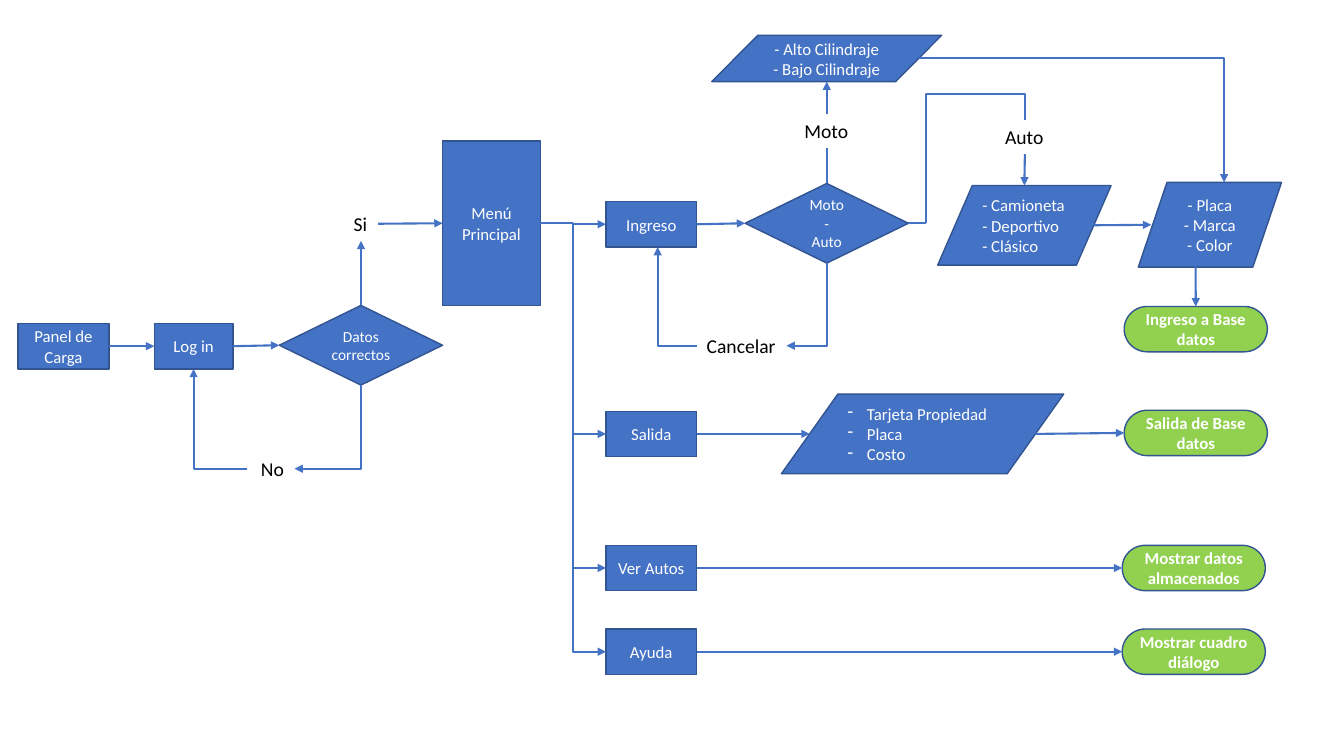
from dataclasses import dataclass

from lxml.etree import SubElement
from pptx import Presentation
from pptx.dml.color import RGBColor
from pptx.enum.shapes import MSO_CONNECTOR as LINK, MSO_SHAPE as SHAPE
from pptx.enum.text import MSO_ANCHOR as ANCHOR, MSO_AUTO_SIZE as AUTO_SIZE, PP_ALIGN as ALIGN
from pptx.oxml.ns import qn
from pptx.util import Inches, Pt

COLORS = {"node": "4472C4", "outline": "325491", "link": "4472C4",
          "end": "92D050", "light": "FFFFFF", "dark": "000000"}
FONT = "Calibri"


@dataclass
class Box:
    """A rectangle in inches."""
    left: float
    top: float
    width: float
    height: float

    def inner(self, left, top, width, height):
        """Return a box placed relative to this one."""
        return Box(self.left + left, self.top + top, width, height)

    def at(self, across, down):
        """Return the point at the given fractions of the box."""
        return self.left + across * self.width, self.top + down * self.height

    def lengths(self):
        """Return left, top, width and height as slide lengths."""
        return [Inches(value) for value in (self.left, self.top, self.width, self.height)]


def color(name):
    """Look up a named colour."""
    return RGBColor.from_string(COLORS[name])


def write(frame, lines, size, tint, align, bold=False):
    """Write one paragraph per line and return the paragraphs."""
    frame.text = "\n".join(lines)
    for para in frame.paragraphs:
        para.alignment = align
        para.font.name = FONT
        para.font.size = Pt(size)
        para.font.bold = bold
        para.font.color.rgb = color(tint)
    return frame.paragraphs


def add_node(page, box, kind, *lines, size=12, align=ALIGN.CENTER, fill="node"):
    """Draw a flowchart symbol with text and return its paragraphs."""
    shape = page.shapes.add_shape(kind, *box.lengths())
    shape.shadow.inherit = False
    shape.fill.solid()
    shape.fill.fore_color.rgb = color(fill)
    shape.line.color.rgb = color("outline")
    shape.line.width = Pt(1)
    shape.text_frame.word_wrap = True
    shape.text_frame.vertical_anchor = ANCHOR.MIDDLE
    return write(shape.text_frame, lines, size, "light", align, fill == "end")


def add_label(page, box, text):
    """Write a branch label."""
    frame = page.shapes.add_textbox(*box.lengths()).text_frame
    frame.word_wrap = False
    frame.auto_size = AUTO_SIZE.SHAPE_TO_FIT_TEXT
    write(frame, [text], 14, "dark", ALIGN.LEFT)


def add_dashes(paragraphs):
    """Give paragraphs hanging dash bullets."""
    for para in paragraphs:
        props = para._p.get_or_add_pPr()
        props.set("marL", str(Inches(0.19)))
        props.set("indent", str(-Inches(0.19)))
        bullet = SubElement(props, qn("a:buChar"))
        bullet.set("char", "-")
        props.find(qn("a:defRPr")).addprevious(bullet)


def add_link(page, start, end, arrow=True, kind=LINK.STRAIGHT):
    """Draw a connector between two points."""
    link = page.shapes.add_connector(kind, *[Inches(value) for value in (*start, *end)])
    link.line.color.rgb = color("link")
    link.line.width = Pt(1.5)
    outline = link.element.spPr.find(qn("a:ln"))
    if arrow:
        SubElement(outline, qn("a:tailEnd")).set("type", "triangle")
    SubElement(link.element.spPr, qn("a:effectLst"))
    return link


def add_elbow(page, start, end, upright=False, bend=None, arrow=True):
    """Draw a bent connector; bend is where it turns along its first direction."""
    link = add_link(page, start, end, arrow, LINK.ELBOW)
    across, down = end[0] - start[0], end[1] - start[1]
    if upright:
        turn, flip = (90, across > 0) if down > 0 else (270, across < 0)
        width, height = abs(down), abs(across)
    else:
        turn, flip = (0, down < 0) if across > 0 else (180, down > 0)
        width, height = abs(across), abs(down)
    left = (start[0] + end[0] - width) / 2
    top = (start[1] + end[1] - height) / 2
    link.left, link.top, link.width, link.height = Box(left, top, width, height).lengths()
    frame = link.element.spPr.find(qn("a:xfrm"))
    frame.set("rot", str(turn * 60000))
    frame.set("flipH", "0")
    frame.set("flipV", str(int(flip)))
    geometry = link.element.spPr.find(qn("a:prstGeom"))
    geometry.set("prst", "bentConnector2" if bend is None else "bentConnector3")
    if bend is not None:
        guide = SubElement(geometry.find(qn("a:avLst")), qn("a:gd"))
        guide.set("name", "adj1")
        guide.set("fmla", f"val {round(bend * 100000)}")


def draw_login(page, region):
    """Draw the login loop and return the main menu box."""
    panel = region.inner(0, 1.81, 0.9, 0.45)
    login = region.inner(1.35, 1.81, 0.78, 0.45)
    check = region.inner(2.59, 1.63, 1.62, 0.79)
    no = region.inner(2.31, 3.08, 0.43, 0.34)
    yes = region.inner(3.23, 0.65, 0.34, 0.34)
    menu = region.inner(4.21, 0, 0.97, 1.63)
    add_node(page, panel, SHAPE.FLOWCHART_PROCESS, "Panel de Carga")
    add_node(page, login, SHAPE.FLOWCHART_PROCESS, "Log in")
    add_node(page, check, SHAPE.FLOWCHART_DECISION, "Datos correctos", size=11)
    add_node(page, menu, SHAPE.FLOWCHART_PROCESS, "Menú Principal")
    add_label(page, no, "No")
    add_label(page, yes, "Si")
    add_link(page, panel.at(1, 0.5), login.at(0, 0.5))
    add_link(page, login.at(1, 0.5), check.at(0, 0.5))
    add_link(page, check.at(0.5, 0), yes.at(0.5, 1))
    add_link(page, yes.at(1, 0.5), menu.at(0, 0.5))
    add_elbow(page, check.at(0.5, 1), no.at(1, 0.5), upright=True)
    add_elbow(page, no.at(-0.1, 0.5), login.at(0.5, 1))
    return menu


def draw_entry(page, region):
    """Draw the vehicle entry branch and return its option box."""
    option = region.inner(0, 1.65, 0.9, 0.45)
    choice = region.inner(1.38, 1.47, 1.62, 0.79)
    cancel = region.inner(0.9, 2.91, 0.89, 0.34)
    moto = region.inner(1.87, 0.78, 0.64, 0.34)
    engines = region.inner(1.05, 0, 2.28, 0.46)
    auto = region.inner(3.86, 0.84, 0.59, 0.34)
    models = region.inner(3.29, 1.49, 1.72, 0.79)
    details = region.inner(5.28, 1.46, 1.42, 0.84)
    saved = region.inner(5.14, 2.69, 1.42, 0.45)
    data = SHAPE.FLOWCHART_DATA
    add_node(page, option, SHAPE.FLOWCHART_PROCESS, "Ingreso")
    add_node(page, choice, SHAPE.FLOWCHART_DECISION, "Moto", "-", "Auto", size=11)
    add_node(page, engines, data, "- Alto Cilindraje", "- Bajo Cilindraje")
    add_node(page, models, data, "- Camioneta", "- Deportivo", "- Clásico", align=ALIGN.LEFT)
    add_node(page, details, data, "- Placa", "- Marca", "- Color")
    add_node(page, saved, SHAPE.FLOWCHART_TERMINATOR, "Ingreso a Base datos", fill="end")
    for box, text in ((cancel, "Cancelar"), (moto, "Moto"), (auto, "Auto")):
        add_label(page, box, text)
    add_link(page, option.at(1, 0.5), choice.at(0, 0.5))
    add_elbow(page, choice.at(0.5, 1), cancel.at(1, 0.5), upright=True)
    add_elbow(page, cancel.at(0, 0.5), option.at(0.57, 1))
    add_link(page, choice.at(0.5, 0), moto.at(0.5, 1), arrow=False)
    add_link(page, moto.at(0.5, 0), engines.at(0.5, 1))
    add_elbow(page, engines.at(0.9, 0.5), details.at(0.6, 0))
    corner = choice.at(1.11, 0.5)
    add_link(page, choice.at(1, 0.5), corner, arrow=False)
    add_elbow(page, corner, auto.at(0.5, 0), upright=True, bend=1.25, arrow=False)
    add_link(page, auto.at(0.5, 1), models.at(0.5, 0))
    add_link(page, models.at(0.9, 0.5), details.at(0.09, 0.5))
    add_link(page, details.at(0.4, 1), saved.at(0.5, 0))
    return option


def draw_exit(page, region):
    """Draw the vehicle exit branch and return its option box."""
    option = region.inner(0, 0.17, 0.9, 0.45)
    ticket = region.inner(1.74, 0, 2.8, 0.79)
    saved = region.inner(5.14, 0.16, 1.42, 0.45)
    add_node(page, option, SHAPE.FLOWCHART_PROCESS, "Salida")
    add_dashes(add_node(page, ticket, SHAPE.FLOWCHART_DATA, "Tarjeta Propiedad", "Placa",
                        "Costo", align=ALIGN.LEFT))
    add_node(page, saved, SHAPE.FLOWCHART_TERMINATOR, "Salida de Base datos", fill="end")
    add_link(page, option.at(1, 0.5), ticket.at(0.1, 0.5))
    add_link(page, ticket.at(0.9, 0.5), saved.at(0, 0.5))
    return option


def draw_display(page, region, name, result):
    """Draw an option that leads straight to its result and return its box."""
    option = region.inner(0, 0, 0.9, 0.45)
    shown = region.inner(region.width - 1.42, 0, 1.42, 0.45)
    add_node(page, option, SHAPE.FLOWCHART_PROCESS, name)
    add_node(page, shown, SHAPE.FLOWCHART_TERMINATOR, result, fill="end")
    add_link(page, option.at(1, 0.5), shown.at(0, 0.5))
    return option


def draw_branches(page, menu, options):
    """Join the menu to its options through one trunk."""
    add_elbow(page, menu.at(1, 0.5), options[-1].at(0, 0.5), bend=0.5)
    trunk = (menu.at(1, 0)[0] + options[-1].left) / 2
    for option in options[:-1]:
        end = option.at(0, 0.5)
        add_link(page, (trunk, end[1]), end)


def main():
    """Build the parking flowchart."""
    deck = Presentation()
    deck.slide_width, deck.slide_height = Inches(13.33), Inches(7.5)
    page = deck.slides.add_slide(deck.slide_layouts[6])
    menu = draw_login(page, Box(0.18, 1.4, 5.18, 3.42))
    options = [
        draw_entry(page, Box(6.01, 0.35, 6.7, 3.14)),
        draw_exit(page, Box(6.01, 3.91, 6.56, 0.79)),
        draw_display(page, Box(6.01, 5.41, 6.54, 0.45), "Ver Autos", "Mostrar datos almacenados"),
        draw_display(page, Box(6.01, 6.24, 6.54, 0.45), "Ayuda", "Mostrar cuadro diálogo"),
    ]
    draw_branches(page, menu, options)
    deck.save("out.pptx")


if __name__ == "__main__":
    main()
